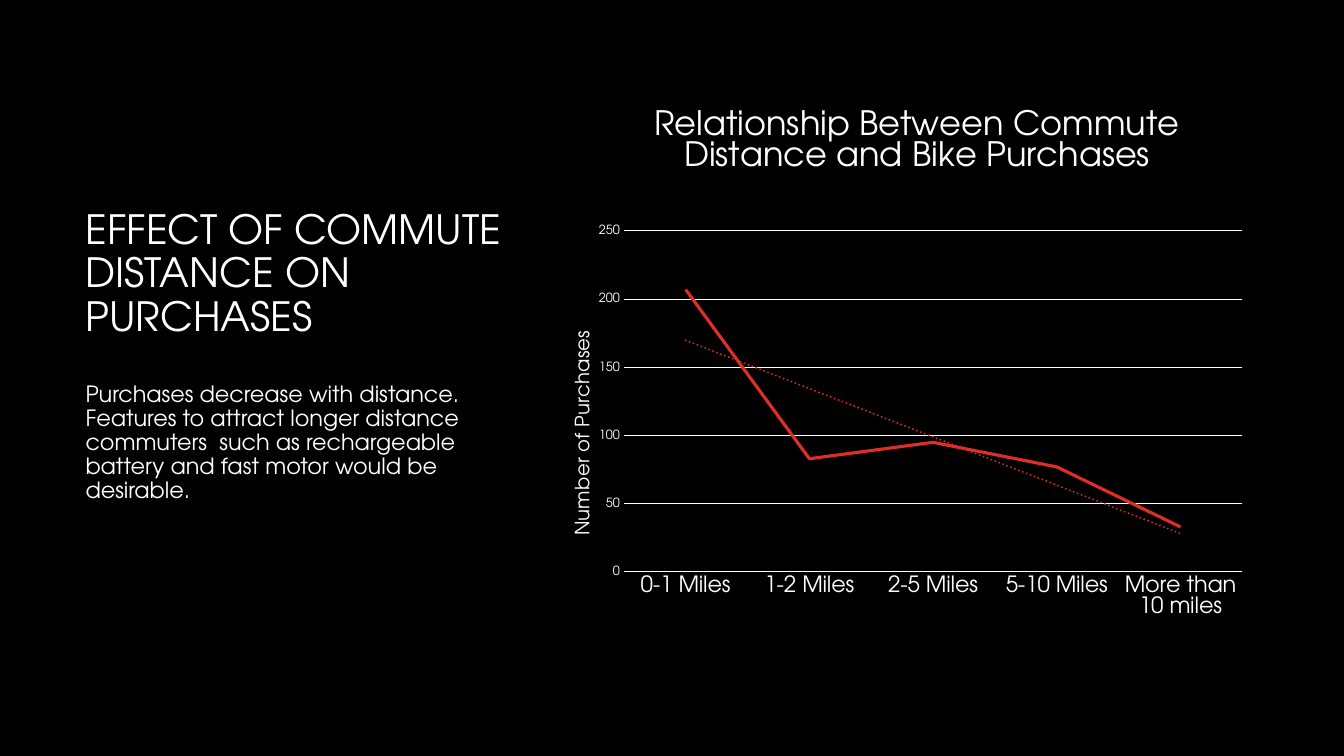
from dataclasses import dataclass

from pptx import Presentation
from pptx.chart.data import CategoryChartData
from pptx.dml.color import RGBColor
from pptx.enum.chart import XL_CHART_TYPE, XL_MARKER_STYLE, XL_TICK_MARK
from pptx.enum.text import MSO_ANCHOR
from pptx.oxml import parse_xml
from pptx.oxml.ns import nsdecls, qn
from pptx.util import Inches, Pt


@dataclass(frozen=True)
class Theme:
    face: str = "TeX Gyre Adventor"
    back: str = "000000"
    ink: str = "FFFFFF"
    red: str = "DF2E28"
    head: float = 28.8
    body: float = 16
    title: float = 24
    label: float = 14
    tick: float = 9
    grid: float = 0.75
    line: float = 2.25
    trend: float = 1.5


THEME = Theme()


def style(font, size):
    font.name = THEME.face
    font.size = Pt(size)
    font.bold = False
    font.color.rgb = RGBColor.from_string(THEME.ink)


def stroke(line, color, width):
    line.color.rgb = RGBColor.from_string(color)
    line.width = Pt(width)


def write(para, text, size):
    run = para.add_run()
    run.text = text
    style(run.font, size)


def add_text(slide, box, text, size, anchor, before=0):
    frame = slide.shapes.add_textbox(*map(Inches, box)).text_frame
    frame.word_wrap = True
    frame.vertical_anchor = anchor
    para = frame.paragraphs[0]
    para.line_spacing = 0.9
    para.space_before = Pt(before)
    write(para, text, size)


def add_copy(slide, box):
    left, top, width, height = box
    split = 1.75
    gap = 0.33
    add_text(slide, (left, top, width, split),
             "EFFECT OF COMMUTE DISTANCE ON PURCHASES",
             THEME.head, MSO_ANCHOR.BOTTOM)
    add_text(slide, (left, top + split + gap, width, height - split - gap),
             "Purchases decrease with distance. Features to attract longer "
             "distance commuters  such as rechargeable battery and fast motor "
             "would be desirable.",
             THEME.body, MSO_ANCHOR.TOP, 10)


def place(node, index, inner=False, **parts):
    old = node.find(qn("c:layout"))
    if old is not None:
        node.remove(old)
    target = '<c:layoutTarget val="inner"/>' if inner else ""
    modes = "".join(f'<c:{key}Mode val="edge"/>' for key in "xy")
    sizes = "".join(f'<c:{key} val="{val}"/>' for key, val in parts.items())
    node.insert(index, parse_xml(
        f'<c:layout {nsdecls("c")}><c:manualLayout>{target}{modes}{sizes}'
        '</c:manualLayout></c:layout>'))


def add_trend(series):
    trend = parse_xml(
        f'<c:trendline {nsdecls("c", "a")}><c:spPr>'
        f'<a:ln w="{Pt(THEME.trend)}" cap="rnd"><a:solidFill>'
        f'<a:srgbClr val="{THEME.red}"/></a:solidFill>'
        '<a:prstDash val="sysDot"/></a:ln></c:spPr>'
        '<c:trendlineType val="linear"/><c:dispRSqr val="0"/>'
        '<c:dispEq val="0"/></c:trendline>')
    series._element.find(qn("c:cat")).addprevious(trend)


def style_axes(chart):
    miles = chart.category_axis
    miles.major_tick_mark = XL_TICK_MARK.NONE
    style(miles.tick_labels.font, THEME.body)
    stroke(miles.format.line, THEME.ink, THEME.grid)

    count = chart.value_axis
    count.minimum_scale, count.maximum_scale = 0, 250
    count.major_unit = 50
    count.major_tick_mark = XL_TICK_MARK.NONE
    count.format.line.fill.background()
    style(count.tick_labels.font, THEME.tick)
    stroke(count.major_gridlines.format.line, THEME.ink, THEME.grid)

    title = count.axis_title
    write(title.text_frame.paragraphs[0], "Number of Purchases", THEME.label)
    node = title._element
    node.find(".//" + qn("a:bodyPr")).set("rot", "-5400000")
    place(node, 1, x=0.025, y=0.405)


def add_graph(slide, box):
    data = CategoryChartData()
    data.categories = ["0-1 Miles", "1-2 Miles", "2-5 Miles", "5-10 Miles",
                       "More than 10 miles"]
    data.add_series("Series 1", (207, 83, 95, 77, 33))
    chart = slide.shapes.add_chart(
        XL_CHART_TYPE.LINE, *map(Inches, box), data).chart
    style(chart.font, 10)
    chart.has_legend = False
    chart.has_title = True
    write(chart.chart_title.text_frame.paragraphs[0],
          "Relationship Between Commute Distance and Bike Purchases",
          THEME.title)
    style_axes(chart)

    plot = chart.plots[0]
    plot.vary_by_categories = False
    series = plot.series[0]
    series.smooth = False
    series.marker.style = XL_MARKER_STYLE.NONE
    stroke(series.format.line, THEME.red, THEME.line)
    add_trend(series)
    place(chart._chartSpace.find(".//" + qn("c:plotArea")), 0, True,
          x=0.1, y=0.246, w=0.844, h=0.566)


def main():
    deck = Presentation()
    deck.slide_width = Inches(13.33)
    deck.slide_height = Inches(7.5)
    slide = deck.slides.add_slide(deck.slide_layouts[6])
    fill = slide.background.fill
    fill.solid()
    fill.fore_color.rgb = RGBColor.from_string(THEME.back)
    add_copy(slide, (0.75, 1.67, 4.5, 5.13))
    add_graph(slide, (5.46, 0.82, 7.27, 5.98))
    deck.save("out.pptx")


if __name__ == "__main__":
    main()
